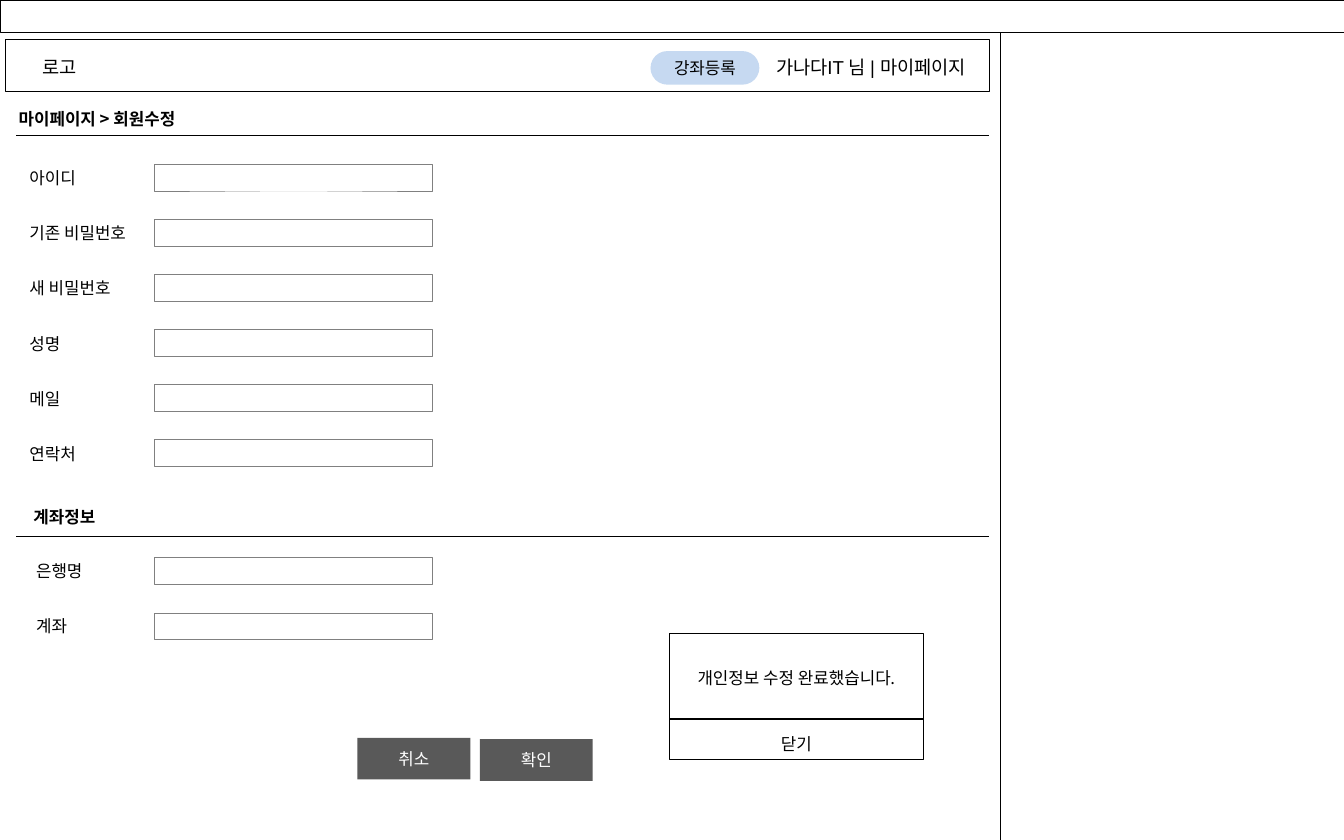
from dataclasses import dataclass
from typing import Optional

from lxml.etree import SubElement
from pptx import Presentation
from pptx.dml.color import RGBColor
from pptx.enum.shapes import MSO_CONNECTOR, MSO_SHAPE
from pptx.enum.text import MSO_ANCHOR, MSO_AUTO_SIZE, PP_ALIGN
from pptx.oxml.ns import qn
from pptx.util import Inches, Pt


@dataclass(frozen=True)
class Theme:
    black: str = "000000"
    white: str = "FFFFFF"
    gray: str = "808080"
    button: str = "595959"
    pill: str = "C6D9F1"
    font: str = "Noto Sans CJK KR"
    header_font: str = "Arial"
    body: float = 9
    header: float = 10
    hairline: float = 0.25
    rule: float = 0.75


@dataclass(frozen=True)
class Box:
    x: float
    y: float
    w: float
    h: float


@dataclass(frozen=True)
class Label:
    text: str
    box: Box
    align: PP_ALIGN = PP_ALIGN.LEFT
    bold: bool = False
    size: float = Theme.body
    font: str = Theme.font


@dataclass(frozen=True)
class FieldGroup:
    label_x: float
    label_y: float
    input_y: float
    names: tuple[str, ...]


T = Theme()
FIELD_PITCH = 0.41
FIELD_GROUPS = (
    FieldGroup(0.12, 1.2, 1.22, ("아이디", "기존 비밀번호", "새 비밀번호", "성명", "메일", "연락처")),
    FieldGroup(0.17, 4.12, 4.15, ("은행명", "계좌")),
)
LABELS = (
    Label("로고", Box(0.2, 0.37, 0.48, 0.27), PP_ALIGN.CENTER,
          size=T.header, font=T.header_font),
    Label("가나다IT 님 | 마이페이지", Box(5.6, 0.37, 1.76, 0.27), PP_ALIGN.CENTER,
          size=T.header, font=T.header_font),
    Label("마이페이지 > 회원수정", Box(0.04, 0.76, 1.56, 0.25), bold=True),
    Label("계좌정보", Box(0.15, 3.72, 0.71, 0.25), bold=True),
)
FRAMES = (Box(7.44, 0, 2.56, 6.25), Box(0, 0, 10, 0.24), Box(0.04, 0.29, 7.32, 0.39))
BUTTONS = (("취소", Box(2.66, 5.49, 0.84, 0.31)), ("확인", Box(3.57, 5.5, 0.84, 0.31)))
SECTION_RULES = (1.01, 3.99)
DIALOG = Box(4.98, 4.71, 1.89, 0.94)


def inches(box: Box) -> tuple:
    return Inches(box.x), Inches(box.y), Inches(box.w), Inches(box.h)


def write(tf, text: str, align: PP_ALIGN, color: str = T.black,
          size: float = T.body, font: str = T.font, bold: bool = False) -> None:
    p = tf.paragraphs[0]
    p.text = text
    p.alignment = align
    f = p.font
    f.size, f.bold, f.name = Pt(size), bold, font
    f.color.rgb = RGBColor.from_string(color)
    # Hangul takes its typeface from the East Asian slot
    SubElement(p._p.pPr.find(qn("a:defRPr")), qn("a:ea"), typeface=T.font)


def add_label(s, label: Label) -> None:
    tf = s.shapes.add_textbox(*inches(label.box)).text_frame
    tf.word_wrap = False
    tf.auto_size = MSO_AUTO_SIZE.SHAPE_TO_FIT_TEXT
    write(tf, label.text, label.align, size=label.size, font=label.font, bold=label.bold)


def add_box(s, box: Box, fill: str = T.white, line: Optional[str] = T.black,
            text: str = "", color: str = T.black, shape=MSO_SHAPE.RECTANGLE):
    sp = s.shapes.add_shape(shape, *inches(box))
    sp.shadow.inherit = False
    sp.fill.solid()
    sp.fill.fore_color.rgb = RGBColor.from_string(fill)
    if line:
        sp.line.color.rgb = RGBColor.from_string(line)
        sp.line.width = Pt(T.hairline)
    else:
        sp.line.fill.background()
    if text:
        sp.text_frame.vertical_anchor = MSO_ANCHOR.MIDDLE
        write(sp.text_frame, text, PP_ALIGN.CENTER, color)
    return sp


def add_rule(s, x1: float, x2: float, y: float) -> None:
    line = s.shapes.add_connector(MSO_CONNECTOR.STRAIGHT, Inches(x1), Inches(y),
                                  Inches(x2), Inches(y))
    line.line.color.rgb = RGBColor.from_string(T.black)
    line.line.width = Pt(T.rule)
    SubElement(line._element.spPr, qn("a:effectLst"))


def add_fields(s, group: FieldGroup) -> None:
    for i, name in enumerate(group.names):
        dy = i * FIELD_PITCH
        add_label(s, Label(name, Box(group.label_x, group.label_y + dy, 1, 0.25)))
        add_box(s, Box(1.15, group.input_y + dy, 2.07, 0.2), line=T.gray)


def add_dialog(s) -> None:
    sp = add_box(s, DIALOG, text="개인정보 수정 완료했습니다.")
    sp.text_frame.margin_bottom = Inches(0.33)
    add_rule(s, DIALOG.x, DIALOG.x + DIALOG.w, 5.35)
    add_label(s, Label("닫기", Box(5.7, 5.41, 0.45, 0.25), PP_ALIGN.CENTER))


def main() -> None:
    prs = Presentation()
    prs.slide_width, prs.slide_height = Inches(10), Inches(6.25)
    s = prs.slides.add_slide(prs.slide_layouts[6])

    for frame in FRAMES:
        add_box(s, frame)
    for label in LABELS:
        add_label(s, label)
    pill = add_box(s, Box(4.84, 0.38, 0.81, 0.25), T.pill, None, "강좌등록",
                   shape=MSO_SHAPE.ROUNDED_RECTANGLE)
    pill.adjustments[0] = 0.5
    for y in SECTION_RULES:
        add_rule(s, 0.12, 7.36, y)
    for group in FIELD_GROUPS:
        add_fields(s, group)
    for text, box in BUTTONS:
        add_box(s, box, T.button, None, text, T.white)
    add_dialog(s)

    prs.save("out.pptx")


if __name__ == "__main__":
    main()
